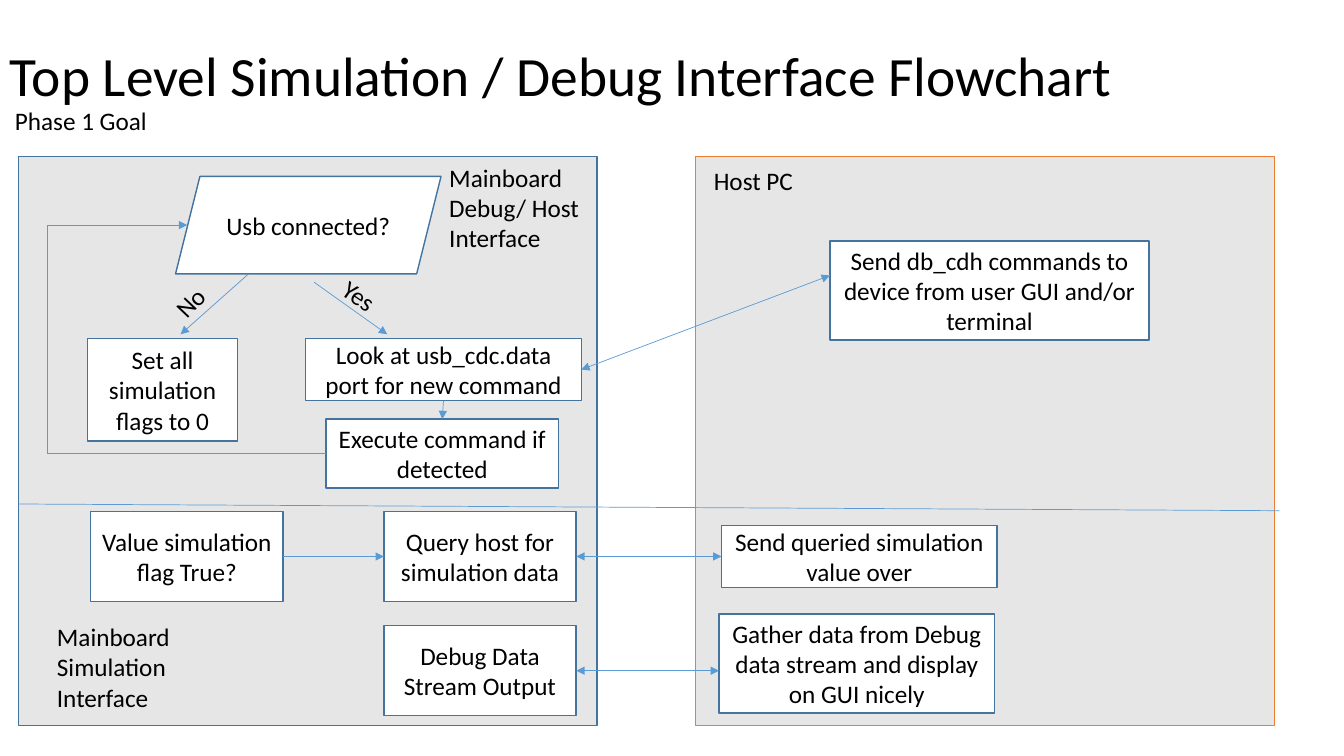
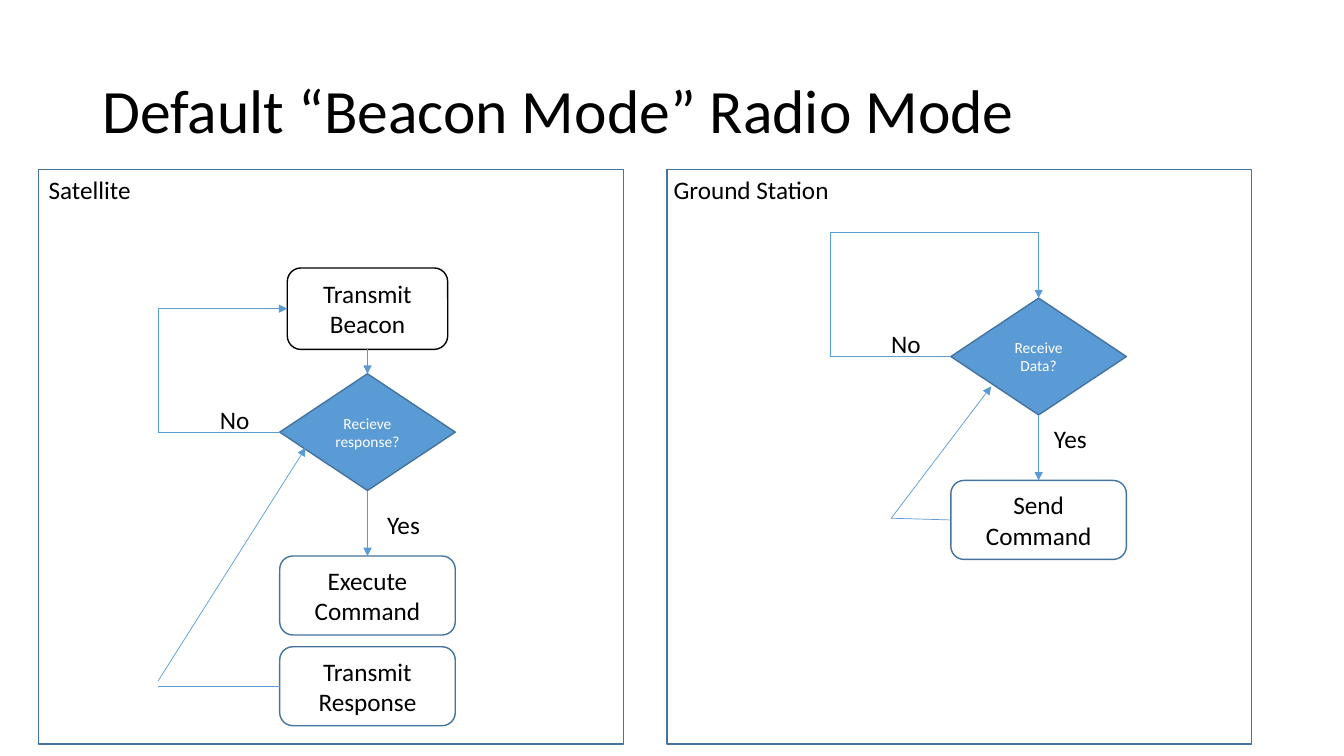
"""Build two flowchart slides: the debug interface and the radio beacon mode."""
from itertools import pairwise

from pptx import Presentation
from pptx.dml.color import RGBColor
from pptx.enum.shapes import MSO_CONNECTOR, MSO_SHAPE
from pptx.enum.text import MSO_ANCHOR, PP_ALIGN
from pptx.oxml.ns import qn
from pptx.shapes.autoshape import Shape
from pptx.util import Emu, Inches, Pt
from lxml.etree import SubElement

COLUMNS, ROWS = 160, 90
CELL = Inches(1 / 12)
FONT = "Calibri"
BLACK = RGBColor(0x00, 0x00, 0x00)
WHITE = RGBColor(0xFF, 0xFF, 0xFF)
GRAY = RGBColor(0xE7, 0xE6, 0xE6)
BLUE = RGBColor(0x5B, 0x9B, 0xD5)
DARK_BLUE = RGBColor(0x43, 0x73, 0x9E)
ORANGE = RGBColor(0xED, 0x7D, 0x31)
TOP, LEFT, BOTTOM, RIGHT = range(4)
LABEL_HEIGHT = 4.8
ANSWER_WIDTH = 8.9


def cells(*counts):
    return [Emu(round(count * CELL)) for count in counts]


def write(frame, text, size=18, color=BLACK, align=PP_ALIGN.LEFT, spacing=None):
    frame.text = text
    for paragraph in frame.paragraphs:
        paragraph.alignment = align
        paragraph.line_spacing = spacing
        paragraph.font.name = FONT
        paragraph.font.size = Pt(size)
        paragraph.font.color.rgb = color


def add_label(slide, text, area, rotation=0):
    label = slide.shapes.add_textbox(*cells(*area))
    label.rotation = rotation
    label.text_frame.word_wrap = True
    write(label.text_frame, text)


def add_answer(slide, text, column, row, rotation=0):
    add_label(slide, text, (column, row, ANSWER_WIDTH, LABEL_HEIGHT), rotation)


def add_title(slide, text, area, size):
    title = slide.shapes.add_textbox(*cells(*area))
    title.text_frame.word_wrap = True
    title.text_frame.vertical_anchor = MSO_ANCHOR.MIDDLE
    write(title.text_frame, text, size, spacing=0.9)


def add_node(slide, area, text="", kind=MSO_SHAPE.RECTANGLE, fill=WHITE,
             line=DARK_BLUE, size=18, color=BLACK):
    node = slide.shapes.add_shape(kind, *cells(*area))
    node.shadow.inherit = False
    if fill is None:
        node.fill.background()
    else:
        node.fill.solid()
        node.fill.fore_color.rgb = fill
    node.line.color.rgb = line
    node.line.width = Pt(1)
    if text:
        node.text_frame.vertical_anchor = MSO_ANCHOR.MIDDLE
        write(node.text_frame, text, size, color, PP_ALIGN.CENTER)
    return node


def add_step(slide, area, text, line=DARK_BLUE):
    return add_node(slide, area, text, MSO_SHAPE.ROUNDED_RECTANGLE, None, line)


def add_decision(slide, column, row, text):
    return add_node(slide, (column, row, 20.9, 13.9), text,
                    MSO_SHAPE.FLOWCHART_DECISION, BLUE, size=11, color=WHITE)


def add_segment(slide, start, stop, heads):
    """Draw one line between grid points or (shape, side) pairs."""
    start_joined, stop_joined = (isinstance(end[0], Shape) for end in (start, stop))
    segment = slide.shapes.add_connector(
        MSO_CONNECTOR.STRAIGHT,
        *cells(*((0, 0) if start_joined else start)),
        *cells(*((0, 0) if stop_joined else stop)))
    if start_joined:
        segment.begin_connect(*start)
    if stop_joined:
        segment.end_connect(*stop)
    segment.line.color.rgb = BLUE
    segment.line.width = Pt(0.5)
    properties = segment._element.spPr
    for head in heads:
        SubElement(properties.find(qn("a:ln")), qn(f"a:{head}"), type="triangle")
    SubElement(properties, qn("a:effectLst"))


def add_route(slide, *stops, arrow=True, both=False):
    """Draw a line through all stops, with an arrowhead at its end or at both ends."""
    legs = list(pairwise(stops))
    for index, (start, stop) in enumerate(legs):
        heads = ["headEnd"] if both and index == 0 else []
        if arrow and index == len(legs) - 1:
            heads.append("tailEnd")
        add_segment(slide, start, stop, heads)


def build_debug_interface(slide):
    add_title(slide, "Top Level Simulation / Debug Interface Flowchart",
              (0, 1.9, 144, 14.9), 39.6)
    add_label(slide, "Phase 1 Goal", (0.6, 12, 21.7, LABEL_HEIGHT))
    for column, border in ((2.2, DARK_BLUE), (82.8, ORANGE)):
        add_node(slide, (column, 18.6, 68.9, 67.8), fill=GRAY, line=border)
    add_label(slide, "Mainboard\nDebug/ Host Interface", (52.3, 18.7, 19.6, 12.1))
    add_label(slide, "Mainboard\nSimulation Interface", (5.6, 73.4, 26.3, 12.1))
    add_label(slide, "Host PC", (83.8, 19.1, 16.8, LABEL_HEIGHT))

    add_node(slide, (20.9, 21, 31.6, 11.6), "Usb connected?", MSO_SHAPE.PARALLELOGRAM)
    add_node(slide, (10.4, 40.3, 17.9, 12.2), "Set all simulation flags to 0")
    look = add_node(slide, (36.4, 40.3, 32.8, 7.4),
                    "Look at usb_cdc.data port for new command")
    execute = add_node(slide, (38.8, 49.9, 27.7, 8.2), "Execute command if detected")
    flag, query, stream = (
        add_node(slide, (column, row, 22.9, 10.7), text)
        for column, row, text in (
            (10.8, 60.9, "Value simulation flag True?"),
            (45.7, 60.9, "Query host for simulation data"),
            (45.7, 74.5, "Debug Data Stream Output")))
    add_node(slide, (98.8, 28.7, 38, 11.8),
             "Send db_cdh commands to device from user GUI and/or terminal")
    send = add_node(slide, (85.9, 62.55, 32.8, 7.4),
                    "Send queried simulation value over")
    add_node(slide, (85.6, 73.1, 32.8, 11.8),
             "Gather data from Debug data stream and display on GUI nicely")

    add_answer(slide, "No", 19.2, 32.5, 313.6)
    add_answer(slide, "Yes", 39.4, 33.5, 34.5)
    add_route(slide, (29.6, 32.6), (21.5, 39.8))
    add_route(slide, (37.4, 33.6), (46.1, 39.8))
    add_route(slide, (look, BOTTOM), (execute, TOP))
    add_route(slide, (execute, LEFT), (5.6, 54), (5.6, 26.8), (22.3, 26.8))
    add_route(slide, (flag, RIGHT), (query, LEFT))
    add_route(slide, (query, RIGHT), (send, LEFT), both=True)
    add_route(slide, (look, RIGHT), (98.8, 32.8), both=True)
    add_route(slide, (stream, RIGHT), (85.6, 79.85), both=True)
    add_route(slide, (2.2, 60), (152.3, 60.8), arrow=False)


def build_beacon_mode(slide):
    add_title(slide, "Default “Beacon Mode” Radio Mode", (11, 4.8, 138, 17.4), 44)
    for column, label_column, text in ((4.6, 4.6, "Satellite"),
                                       (79.4, 79, "Ground Station")):
        add_node(slide, (column, 20.2, 69.6, 68.4), fill=None)
        add_label(slide, text, (label_column, 20.2, 21.7, LABEL_HEIGHT))

    beacon = add_step(slide, (34.2, 31.9, 19.1, 9.7), "Transmit Beacon", BLACK)
    response = add_decision(slide, 33.3, 44.5, "Recieve response?")
    received = add_decision(slide, 113.2, 35.5, "Receive Data?")
    execute, transmit, send = (
        add_step(slide, (column, row, 20.9, 9.4), text)
        for column, row, text in ((33.3, 66.2, "Execute Command"),
                                  (33.3, 77, "Transmit Response"),
                                  (113.2, 57.2, "Send Command")))

    add_route(slide, (beacon, BOTTOM), (response, TOP))
    add_route(slide, (response, LEFT), (18.8, 51.45), (18.8, 36.75), (beacon, LEFT))
    add_route(slide, (response, BOTTOM), (execute, TOP))
    add_route(slide, (transmit, LEFT), (18.8, 81.7), arrow=False)
    add_route(slide, (18.8, 81.1), (36.4, 53.3))
    add_route(slide, (received, LEFT), (98.8, 42.45), (98.8, 27.7), (123.65, 27.7),
              (received, TOP))
    add_route(slide, (received, BOTTOM), (send, TOP))
    add_route(slide, (send, LEFT), (106.1, 61.7), (118, 46))

    for text, column, row in (("No", 25, 47.6), ("Yes", 44.9, 60),
                              ("No", 104.9, 38.5), ("Yes", 124.3, 49.8)):
        add_answer(slide, text, column, row)


def main():
    deck = Presentation()
    deck.slide_width, deck.slide_height = cells(COLUMNS, ROWS)
    blank = deck.slide_layouts[6]
    for build in (build_debug_interface, build_beacon_mode):
        build(deck.slides.add_slide(blank))
    deck.save("out.pptx")


if __name__ == "__main__":
    main()
